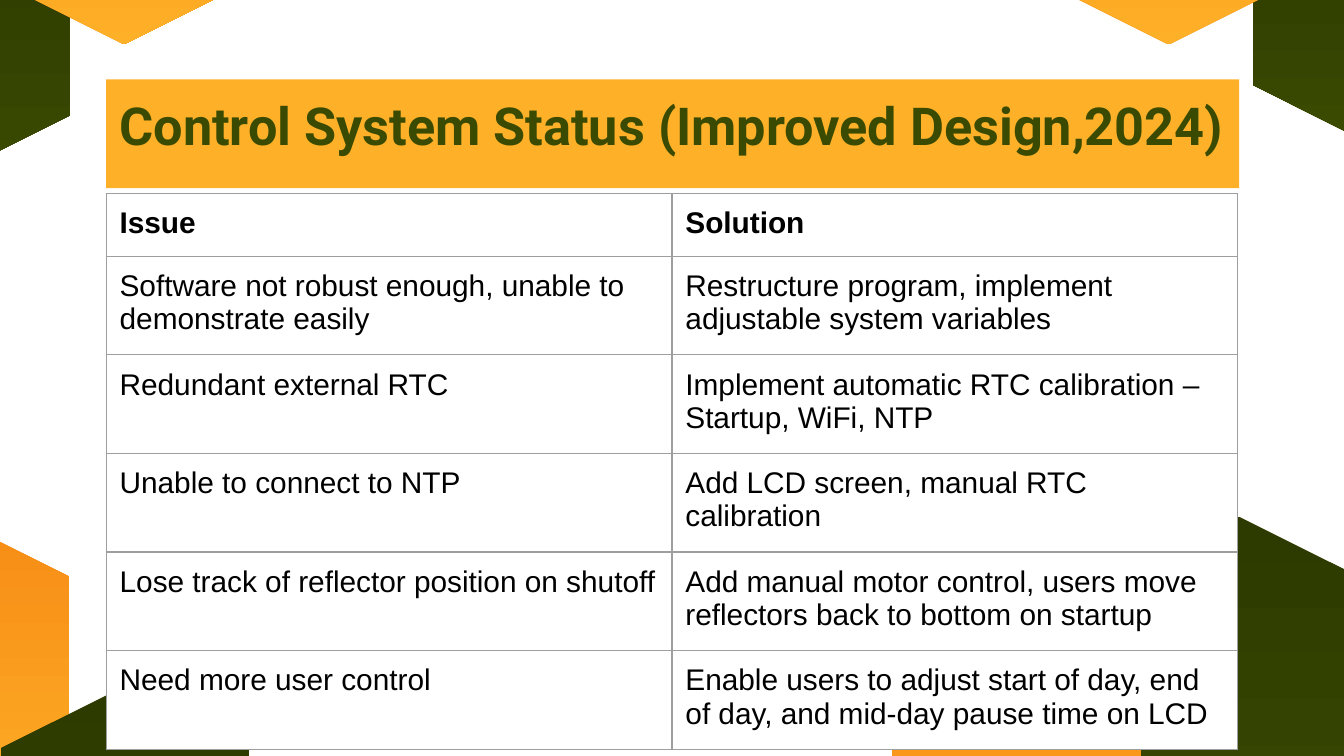
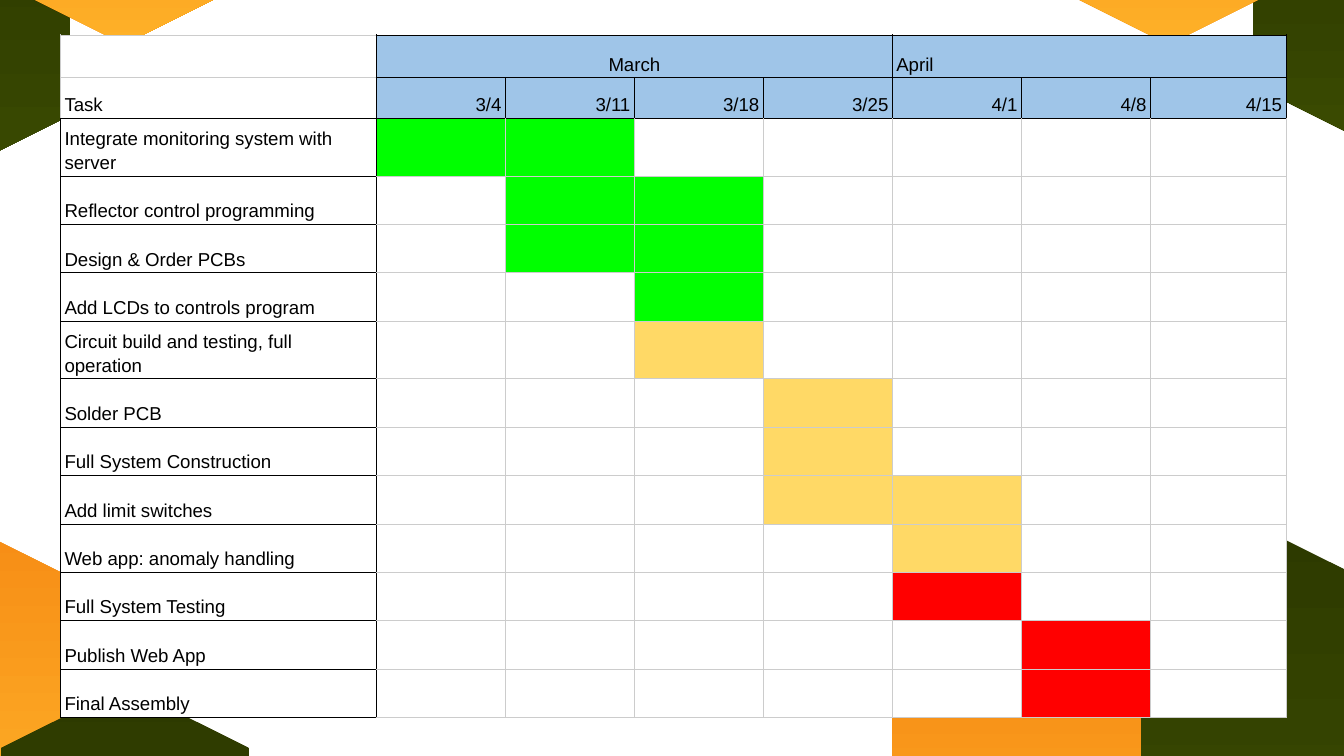
from lxml.etree import SubElement
from pptx import Presentation
from pptx.dml.color import RGBColor
from pptx.enum.shapes import MSO_SHAPE
from pptx.enum.text import MSO_ANCHOR, PP_ALIGN
from pptx.oxml.ns import qn
from pptx.util import Inches, Pt

BLACK, WHITE, GREY, SILVER = "000000", "FFFFFF", "9E9E9E", "CCCCCC"
ORANGE, OLIVE, BLUE = "FEB128", "3A4A01", "9FC5E8"
DONE, ONGOING, PLANNED = "00FF00", "FFD966", "FF0000"
ORANGE_FADE, OLIVE_FADE = ("F68A14", ORANGE), ("2D3A00", OLIVE)

HEXAGONS = [
    (-1.92, 3.9, 2.61, 2.26, ORANGE_FADE),
    (7.86, 4.03, 2.72, 2.35, OLIVE_FADE),
    (-0.14, 5.25, 2.14, 1.85, OLIVE_FADE),
    (-1.33, -0.56, 1.98, 1.72, OLIVE_FADE),
    (0.02, -1.36, 1.81, 1.57, ORANGE_FADE),
    (9.22, -0.52, 1.61, 1.4, OLIVE_FADE),
    (7.79, -1.36, 1.81, 1.57, ORANGE_FADE),
    (6.5, 4.96, 2.13, 1.85, ORANGE_FADE),
]
TITLE_FONT = {"name": "Roboto", "size": Pt(28), "bold": True}
ISSUE_FONT = {"name": "Arial", "size": Pt(16)}
PLAN_FONT = {"name": "Arial", "size": Pt(10)}

ISSUES = [
    ("Issue", "Solution"),
    ("Software not robust enough, unable to demonstrate easily",
     "Restructure program, implement adjustable system variables"),
    ("Redundant external RTC",
     "Implement automatic RTC calibration – Startup, WiFi, NTP"),
    ("Unable to connect to NTP", "Add LCD screen, manual RTC calibration"),
    ("Lose track of reflector position on shutoff",
     "Add manual motor control, users move reflectors back to bottom on startup"),
    ("Need more user control",
     "Enable users to adjust start of day, end of day, and mid-day pause time on LCD"),
]
ISSUE_ROWS = [0.44, 0.68, 0.68, 0.68, 0.66, 0.65]

WEEKS = ["3/4", "3/11", "3/18", "3/25", "4/1", "4/8", "4/15"]
MONTHS = [("March", 1, 4, PP_ALIGN.CENTER), ("April", 5, 7, PP_ALIGN.LEFT)]
TASKS = [
    ("Integrate monitoring system with server", DONE, "3/4", "3/11"),
    ("Reflector control programming", DONE, "3/11", "3/18"),
    ("Design & Order PCBs", DONE, "3/11", "3/18"),
    ("Add LCDs to controls program", DONE, "3/18", "3/18"),
    ("Circuit build and testing, full operation", ONGOING, "3/18", "3/18"),
    ("Solder PCB", ONGOING, "3/25", "3/25"),
    ("Full System Construction", ONGOING, "3/25", "3/25"),
    ("Add limit switches", ONGOING, "3/25", "4/1"),
    ("Web app: anomaly handling", ONGOING, "4/1", "4/1"),
    ("Full System Testing", PLANNED, "4/1", "4/1"),
    ("Publish Web App", PLANNED, "4/8", "4/8"),
    ("Final Assembly", PLANNED, "4/8", "4/8"),
]
HEADER_ROWS = 2


def rgb(value):
    """Turn a hex string into a colour."""
    return RGBColor.from_string(value)


def apply(obj, values):
    """Set each named attribute of an object."""
    for name, value in values.items():
        setattr(obj, name, value)


def paint(obj, color):
    """Give a shape or cell a solid fill."""
    obj.fill.solid()
    obj.fill.fore_color.rgb = rgb(color)


def margins(x, y):
    """Return inner margins in inches as format values."""
    return {"margin_left": Inches(x), "margin_right": Inches(x),
            "margin_top": Inches(y), "margin_bottom": Inches(y)}


def write(p, text, font, color=BLACK):
    """Write one formatted run, or size the paragraph when it is empty."""
    if not text:
        SubElement(p._p, qn("a:endParaRPr"), sz=str(int(font["size"].pt * 100)))
        return
    r = p.add_run()
    r.text = text
    apply(r.font, font)
    r.font.color.rgb = rgb(color)


def add_hexagon(slide, left, top, width, height, fade):
    """Add an upright hexagon with a vertical fade."""
    s = slide.shapes.add_shape(MSO_SHAPE.HEXAGON, Inches(left), Inches(top),
                               Inches(width), Inches(height))
    s.rotation = 90
    s.shadow.inherit = False
    s.line.fill.background()
    s.fill.gradient()
    s.fill.gradient_angle = 0
    for stop, color, position in zip(s.fill.gradient_stops, fade, (0, 1)):
        stop.color.rgb = rgb(color)
        stop.position = position


def add_title(slide, text):
    """Add the title band."""
    sp = slide.shapes.add_textbox(Inches(0.79), Inches(0.59), Inches(8.43), Inches(0.81))
    paint(sp, ORANGE)
    tf = sp.text_frame
    apply(tf, {"word_wrap": True, "vertical_anchor": MSO_ANCHOR.TOP, **margins(0.1, 0.1)})
    write(tf.paragraphs[0], text, TITLE_FONT, OLIVE)


def add_grid(slide, left, top, widths, heights):
    """Add a plain table with the given column widths and row heights."""
    table = slide.shapes.add_table(len(heights), len(widths), Inches(left), Inches(top),
                                   Inches(sum(widths)), Inches(sum(heights))).table
    apply(table, {"first_row": False, "horz_banding": False})
    for column, width in zip(table.columns, widths):
        column.width = Inches(width)
    for row, height in zip(table.rows, heights):
        row.height = Inches(height)
    return table


def set_borders(cell, colors, points):
    """Draw the left, right, top and bottom borders of a cell."""
    tc_pr = cell._tc.get_or_add_tcPr()
    for side, color in zip("LRTB", colors):
        line = SubElement(tc_pr, qn(f"a:ln{side}"), w=str(Pt(points)))
        SubElement(SubElement(line, qn("a:solidFill")), qn("a:srgbClr"), val=color)


def fill_cell(cell, text, font, fill, borders, points, layout, paragraph):
    """Format one table cell and write its text."""
    set_borders(cell, borders, points)
    paint(cell, fill)
    apply(cell, layout)
    p = cell.text_frame.paragraphs[0]
    apply(p, paragraph)
    write(p, text, font)


def add_issue_table(slide):
    """Add the table of issues and solutions."""
    table = add_grid(slide, 0.79, 1.44, [4.21] * 2, ISSUE_ROWS)
    for row, texts in enumerate(ISSUES):
        for col, text in enumerate(texts):
            fill_cell(table.cell(row, col), text, {**ISSUE_FONT, "bold": row == 0},
                      WHITE, [GREY] * 4, 0.75, margins(0.1, 0.1), {})


def is_framed(row, col):
    """Tell whether a schedule cell is a black-edged heading."""
    return (row < HEADER_ROWS) != (col == 0) and row >= 0 and col >= 0


def schedule_borders(row, col):
    """Return black for each edge that touches a framed cell."""
    sides = [(row, col - 1), (row, col + 1), (row - 1, col), (row + 1, col)]
    return [BLACK if is_framed(row, col) or is_framed(*side) else SILVER for side in sides]


def schedule_rows():
    """Yield the texts and fills of every schedule row."""
    months = [""] * (len(WEEKS) + 1)
    for name, first, _, _ in MONTHS:
        months[first] = name
    heading_fills = [WHITE] + [BLUE] * len(WEEKS)
    yield months, heading_fills
    yield ["Task"] + WEEKS, heading_fills
    for name, color, first, last in TASKS:
        span = range(WEEKS.index(first), WEEKS.index(last) + 1)
        fills = [color if week in span else WHITE for week in range(len(WEEKS))]
        yield [name] + [""] * len(WEEKS), [WHITE] + fills


def add_schedule(slide):
    """Add the weekly task schedule."""
    heights = [0.32, 0.3] + [0.43 if len(task[0]) > 30 else 0.36 for task in TASKS]
    table = add_grid(slide, 0.45, 0.26, [2.35] + [0.96] * 6 + [1.01], heights)
    layout = {"vertical_anchor": MSO_ANCHOR.BOTTOM, **margins(0.03, 0.02)}
    aligns = {(0, first): align for _, first, _, align in MONTHS}
    for row, (texts, fills) in enumerate(schedule_rows()):
        for col, (text, fill) in enumerate(zip(texts, fills)):
            align = aligns.get((row, col), PP_ALIGN.RIGHT if col else PP_ALIGN.LEFT)
            fill_cell(table.cell(row, col), text, PLAN_FONT, fill,
                      schedule_borders(row, col), 0.5, layout,
                      {"alignment": align, "line_spacing": 1.15})
    for _, first, last, _ in MONTHS:
        table.cell(0, first).merge(table.cell(0, last))


def add_slide(prs):
    """Add a blank slide with the hexagon border."""
    slide = prs.slides.add_slide(prs.slide_layouts[6])
    for hexagon in HEXAGONS:
        add_hexagon(slide, *hexagon)
    return slide


def main():
    """Build and save the presentation."""
    prs = Presentation()
    apply(prs, {"slide_width": Inches(10), "slide_height": Inches(10) * 9 // 16})
    status = add_slide(prs)
    add_title(status, "Control System Status (Improved Design,2024)")
    add_issue_table(status)
    add_schedule(add_slide(prs))
    prs.save("out.pptx")


if __name__ == "__main__":
    main()
